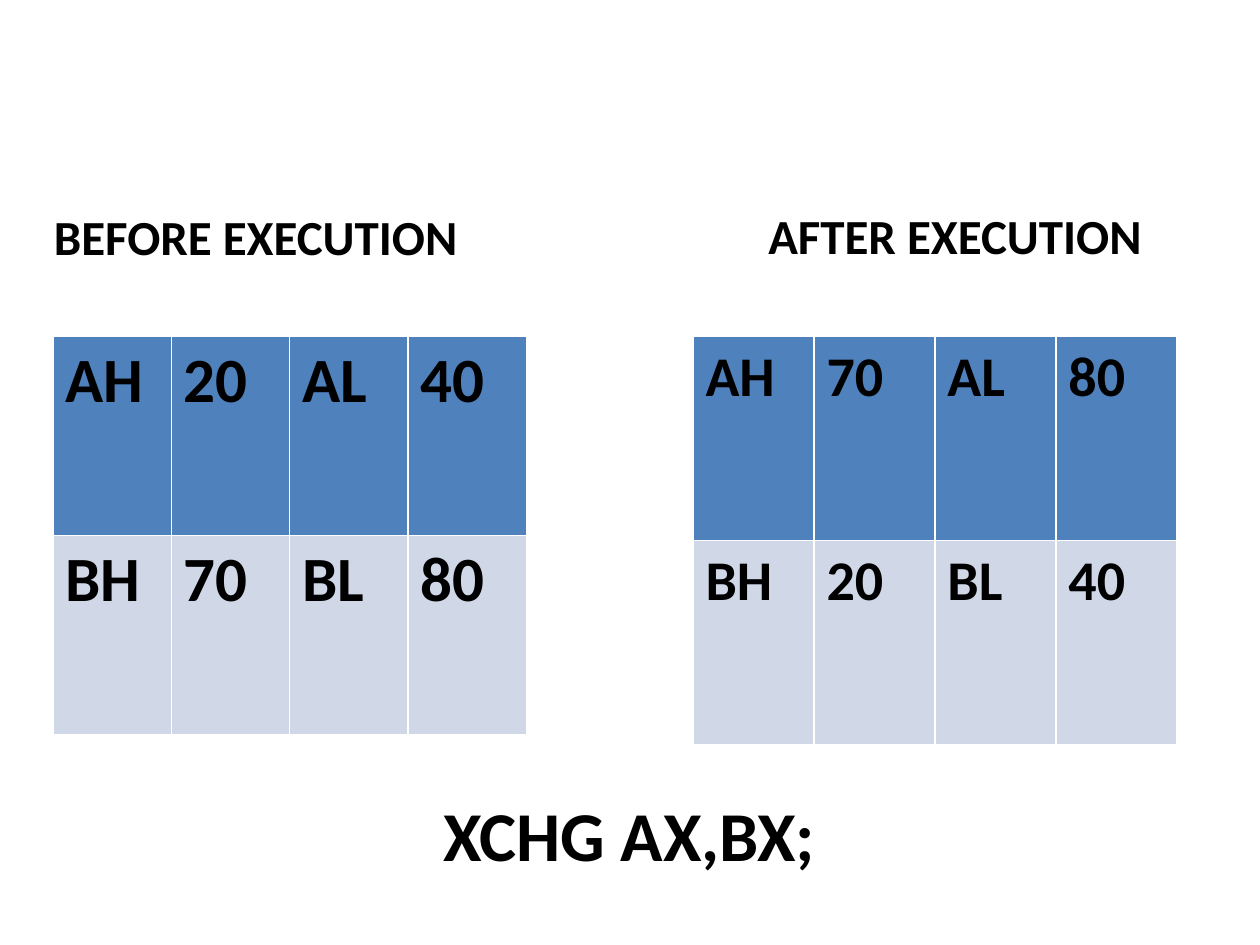
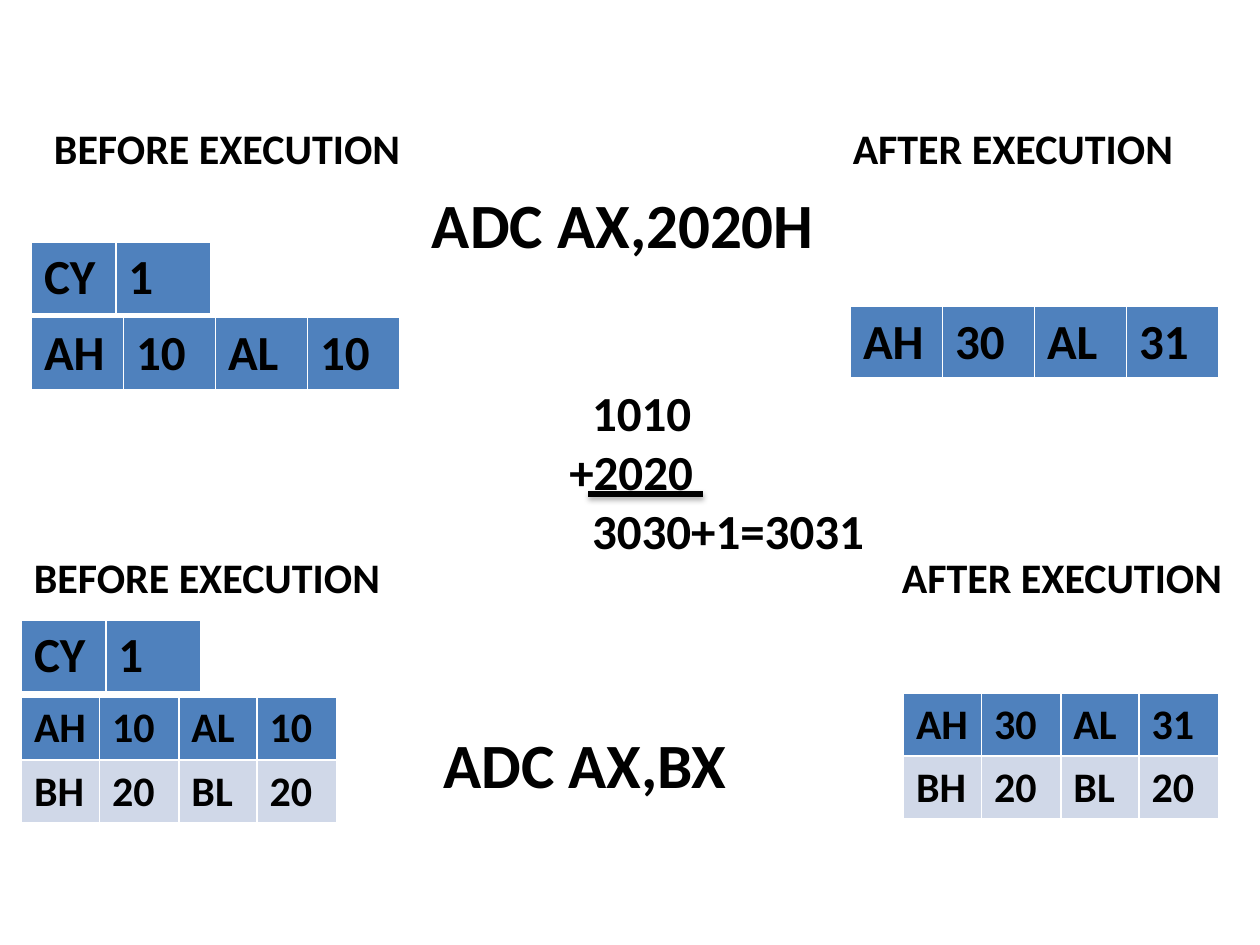
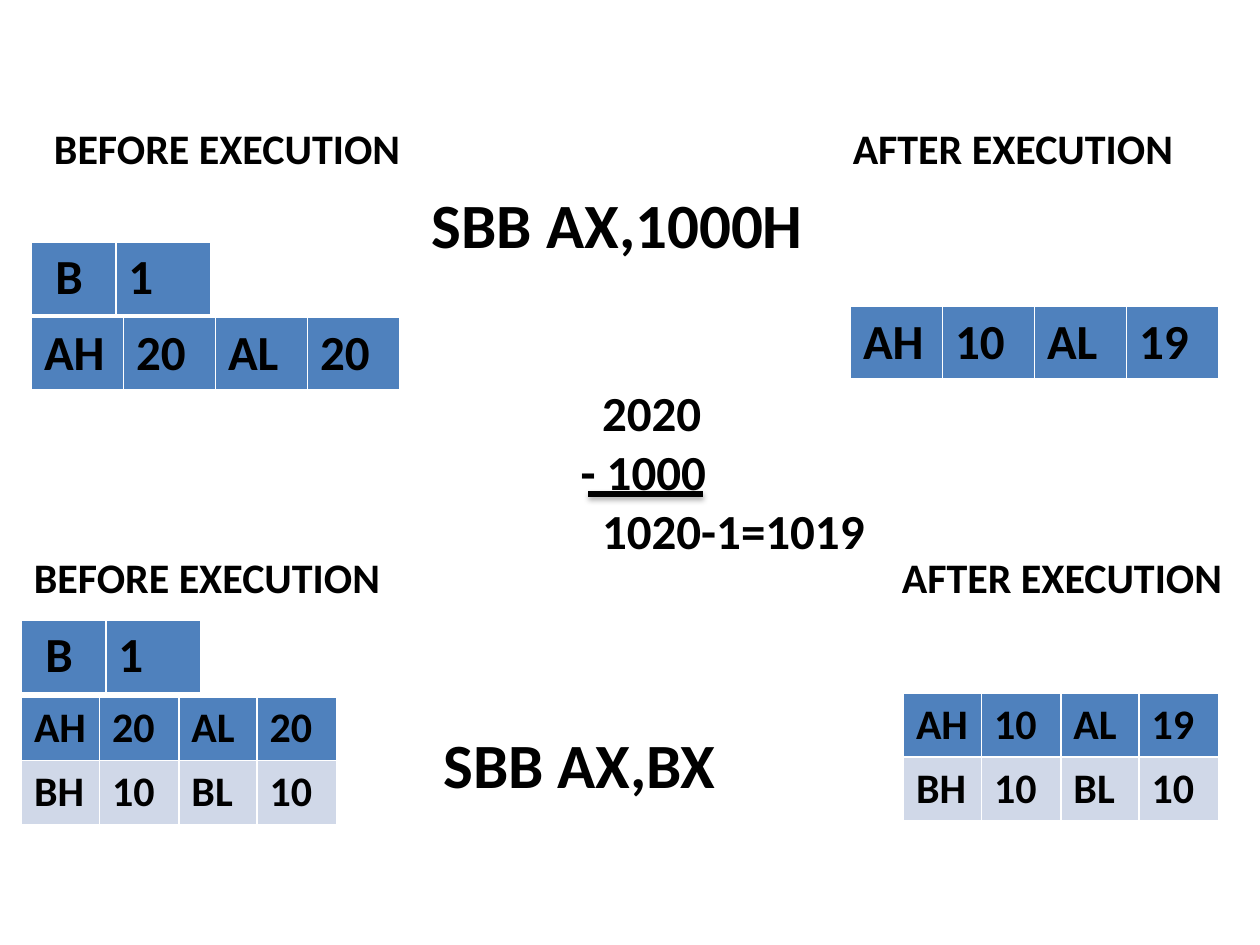
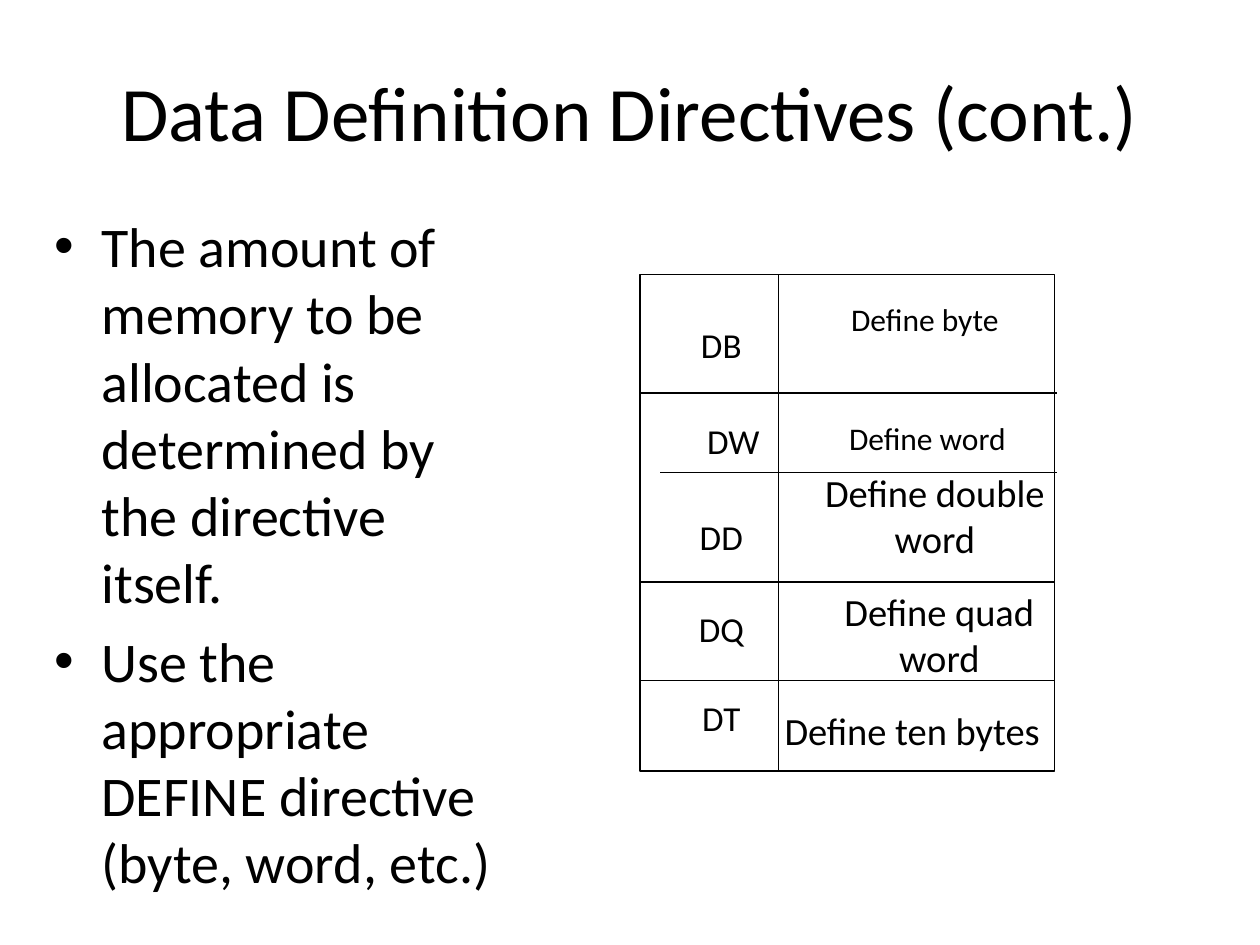
from lxml.etree import SubElement
from pptx import Presentation
from pptx.dml.color import RGBColor
from pptx.enum.shapes import MSO_CONNECTOR, MSO_SHAPE
from pptx.enum.text import MSO_ANCHOR, MSO_AUTO_SIZE, PP_ALIGN
from pptx.oxml.ns import qn
from pptx.util import Pt

PX = 9144  # one px is a hundredth of an inch
BLACK = RGBColor(0x00, 0x00, 0x00)
WHITE = RGBColor(0xFF, 0xFF, 0xFF)
BLUE = RGBColor(0x4F, 0x81, 0xBD)
PALE = RGBColor(0xD0, 0xD8, 0xE8)
FONT = "Calibri"
BEFORE, AFTER = "BEFORE EXECUTION", "AFTER EXECUTION"


def write(frame, text, size, bold=False, align=None, space=None, indents=()):
    """Fill a text frame, one paragraph per line of text."""
    frame.text = text
    for para in frame.paragraphs:
        para.alignment = align
        if space:
            para.line_spacing = space
        for run in para.runs:
            font = run.font
            font.name, font.size, font.bold = FONT, Pt(size), bold
            font.color.rgb = BLACK
    for para, indent in zip(frame.paragraphs, indents):
        props = para._p.get_or_add_pPr()
        props.set("marL", str(indent * PX))
        props.set("indent", "0")


def grid(slide, left, top, cols, high, size, rows, indent=0):
    """Add a register table; the first row is the blue one."""
    table = slide.shapes.add_table(len(rows), len(cols), left * PX, top * PX,
                                   sum(cols) * PX, high * len(rows) * PX).table
    for col, wide in zip(table.columns, cols):
        col.width = wide * PX
    for r, row in enumerate(rows):
        table.rows[r].height = high * PX
        for c, word in enumerate(row.split()):
            cell = table.cell(r, c)
            cell.fill.solid()
            cell.fill.fore_color.rgb = PALE if r else BLUE
            write(cell.text_frame, word, size, bold=True,
                  indents=[indent] if indent and c == 0 else ())


deck = Presentation()
deck.slide_width, deck.slide_height = 1000 * PX, 750 * PX
blank = deck.slide_layouts[6]

# Slide 1: exchange of registers
slide = deck.slides.add_slide(blank)
grid(slide, 42, 267, [94] * 4, 158, 36, ["AH 20 AL 40", "BH 70 BL 80"])
grid(slide, 550, 267, [96] * 4, 162, 32, ["AH 70 AL 80", "BH 20 BL 40"])
pages = [(slide, [
    (33, 159, 383, 57, 28, True, BEFORE),
    (600, 158, 320, 57, 28, False, AFTER),
    (342, 623, 342, 77, 40, True, "XCHG AX,BX;"),
])]

# Slides 2 and 3: add with carry, subtract with borrow
WIDE, SMALL, PAIR = [73] * 4, [62, 63, 62, 63], [67, 75]
sums = [
    ("ADC", "2020H", "CY 1", 0, "AH 10 AL 10", "AH 30 AL 31", "BH 20 BL 20",
     "1010\n+2020\n3030+1=3031", [18, 0, 18]),
    ("SBB", "1000H", "B 1", 9, "AH 20 AL 20", "AH 10 AL 19", "BH 10 BL 10",
     "2020\n- 1000\n1020-1=1019", [26, 9, 26]),
]
for code, value, flag, shift, old, new, base, work, indents in sums:
    slide = deck.slides.add_slide(blank)
    grid(slide, 25, 192, PAIR, 57, 28, [flag], shift)
    grid(slide, 25, 252, WIDE, 57, 28, [old])
    grid(slide, 675, 243, WIDE, 57, 28, [new])
    grid(slide, 17, 492, PAIR, 57, 28, [flag], shift)
    grid(slide, 17, 553, SMALL, 50, 24, [old, base])
    grid(slide, 717, 550, SMALL, 50, 24, [new, base])
    pages.append((slide, [
        (33, 92, 298, 50, 24, False, BEFORE),
        (667, 92, 277, 50, 24, False, AFTER),
        (17, 433, 298, 50, 24, False, BEFORE),
        (706, 433, 277, 50, 24, False, AFTER),
        (333, 142, 333, 71, 36, True, f"{code} AX,{value}"),
        (342, 571, 292, 71, 36, True, f"{code} AX,BX"),
    ]))

    # Worked sum with its shadowed rule
    box = slide.shapes.add_textbox(442 * PX, 299 * PX, 275 * PX, 151 * PX)
    box.text_frame.word_wrap = True
    write(box.text_frame, work, 28, bold=True, indents=indents)
    rule = slide.shapes.add_connector(MSO_CONNECTOR.STRAIGHT, 467 * PX,
                                      392 * PX, 558 * PX, 392 * PX)
    rule.line.color.rgb, rule.line.width = BLACK, Pt(3)
    glow = SubElement(rule._element.spPr, qn("a:effectLst"))
    shade = SubElement(glow, qn("a:outerShdw"), blurRad=str(Pt(3.1)),
                       dist=str(Pt(1.8)), dir="5400000", rotWithShape="0")
    tint = SubElement(shade, qn("a:srgbClr"), val=str(BLACK))
    SubElement(tint, qn("a:alpha"), val="35000")

# Headings and instructions of slides 1 to 3
for slide, labels in pages:
    for left, top, wide, high, size, wrap, text in labels:
        box = slide.shapes.add_textbox(left * PX, top * PX, wide * PX, high * PX)
        frame = box.text_frame
        frame.word_wrap = wrap
        frame.auto_size = MSO_AUTO_SIZE.SHAPE_TO_FIT_TEXT
        write(frame, text, size, bold=True)

# Slide 4: title and list
slide = deck.slides.add_slide(deck.slide_layouts[1])
title, body = slide.placeholders
title.left, title.top, title.width, title.height = (
    n * PX for n in (50, 30, 900, 125))
body.left, body.top, body.width, body.height = (
    n * PX for n in (33, 163, 373, 509))
for holder in (title, body):
    holder.text_frame.auto_size = MSO_AUTO_SIZE.NONE
title.text_frame.vertical_anchor = MSO_ANCHOR.MIDDLE
write(title.text_frame, "Data Definition Directives (cont.)", 44,
      align=PP_ALIGN.CENTER, space=0.9)
write(body.text_frame,
      "The amount of memory to be allocated is determined by the directive "
      "itself.\nUse the appropriate DEFINE directive (byte, word, etc.)", 32)

# Frame and rules of the directive chart
chart = slide.shapes.add_group_shape().shapes
panel = chart.add_shape(MSO_SHAPE.RECTANGLE, 508 * PX, 218 * PX,
                        329 * PX, 394 * PX)
panel.shadow.inherit = False
panel.fill.solid()
panel.fill.fore_color.rgb = WHITE
panel.line.color.rgb, panel.line.width = BLACK, Pt(0.75)
for ends in [(508, 312, 839, 312), (524, 375, 839, 375), (508, 462, 837, 462),
             (508, 540, 837, 540), (618, 218, 618, 611)]:
    rule = chart.add_connector(MSO_CONNECTOR.STRAIGHT, *(n * PX for n in ends))
    rule.line.color.rgb, rule.line.width = BLACK, Pt(0.75)
    SubElement(rule._element.spPr, qn("a:effectLst"))

# Directives and their meanings
for left, top, wide, high, size, text in [
    (524, 252, 97, 57, 20, "DB"),
    (524, 328, 116, 57, 20, "DW"),
    (524, 404, 97, 57, 20, "DD"),
    (524, 477, 97, 47, 20, "DQ"),
    (524, 548, 97, 57, 20, "DT"),
    (618, 233, 232, 57, 18, "Define byte"),
    (620, 328, 232, 39, 18, "Define word"),
    (626, 367, 232, 55, 22, "Define double word"),
    (610, 462, 271, 57, 22, "Define quad\nword"),
    (602, 556, 244, 47, 22, "Define ten bytes"),
]:
    box = chart.add_textbox(left * PX, top * PX, wide * PX, high * PX)
    box.text_frame.word_wrap = True
    write(box.text_frame, text, size, align=PP_ALIGN.CENTER)

deck.save("out.pptx")
